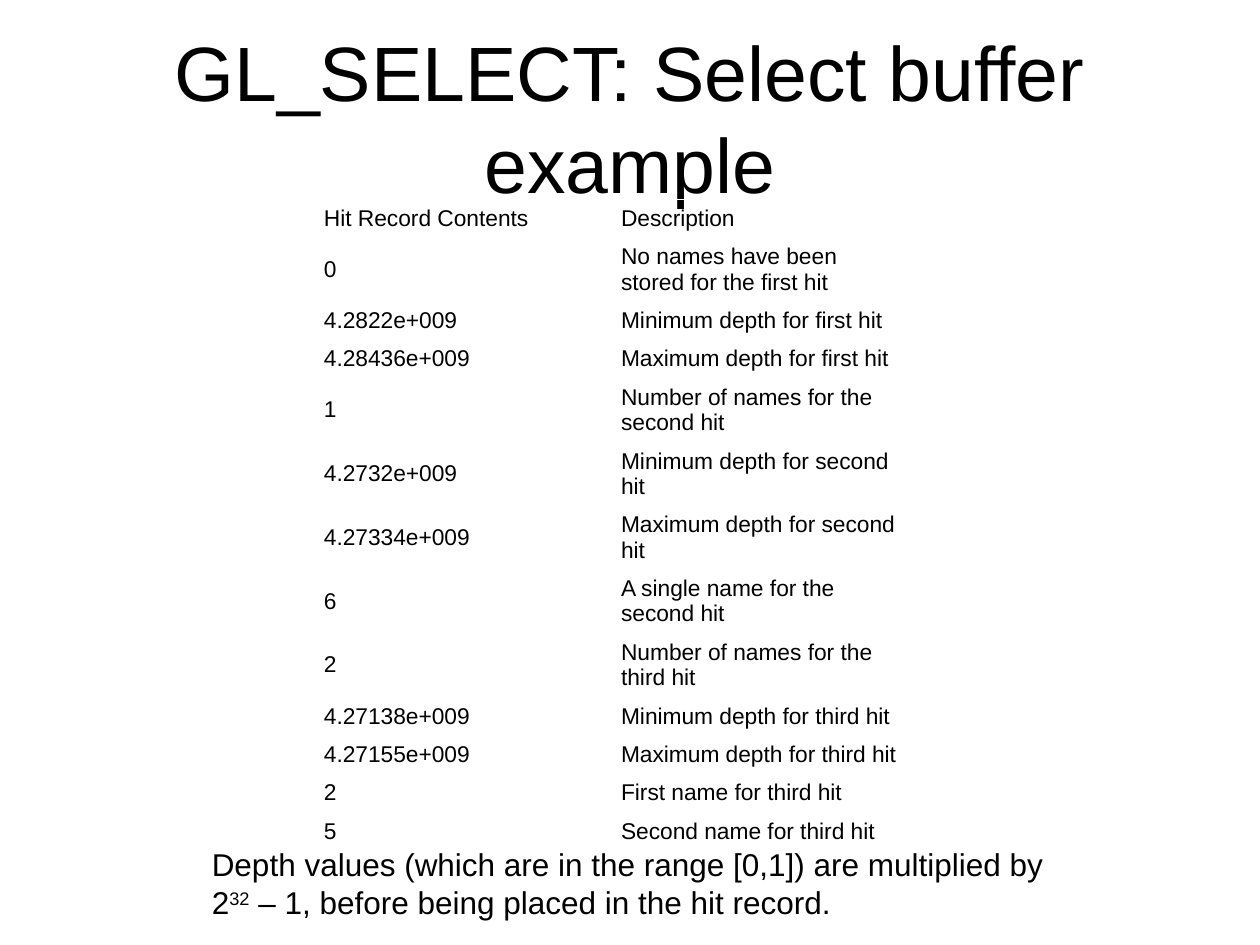
import pptx
import pptx.dml.color
import pptx.enum.text
import pptx.util

Cm = pptx.util.Cm
BLACK = pptx.dml.color.RGBColor(0x00, 0x00, 0x00)
WHITE = pptx.dml.color.RGBColor(0xFF, 0xFF, 0xFF)
ALIGN = pptx.enum.text.PP_ALIGN
ANCHOR = pptx.enum.text.MSO_ANCHOR

SINGLE_LINE, DOUBLE_LINE = 0.74, 1.28  # row heights in cm

# Contents, description, row height
HIT_RECORDS = [
    ("Hit Record Contents", "Description", SINGLE_LINE),
    ("0", "No names have been stored for the first hit", DOUBLE_LINE),
    ("4.2822e+009", "Minimum depth for first hit", SINGLE_LINE),
    ("4.28436e+009", "Maximum depth for first hit", SINGLE_LINE),
    ("1", "Number of names for the second hit", DOUBLE_LINE),
    ("4.2732e+009", "Minimum depth for second hit", DOUBLE_LINE),
    ("4.27334e+009", "Maximum depth for second hit", DOUBLE_LINE),
    ("6", "A single name for the second hit", DOUBLE_LINE),
    ("2", "Number of names for the third hit", DOUBLE_LINE),
    ("4.27138e+009", "Minimum depth for third hit", SINGLE_LINE),
    ("4.27155e+009", "Maximum depth for third hit", SINGLE_LINE),
    ("2", "First name for third hit", SINGLE_LINE),
    ("5", "Second name for third hit", SINGLE_LINE),
]


def add_text(paragraph, text, size=18, color=BLACK, align=ALIGN.LEFT, raised=0):
    """Append a formatted run; raised is the superscript offset in percent."""
    paragraph.alignment = align
    run = paragraph.add_run()
    run.text = text
    run.font.name = "Arial"
    run.font.size = pptx.util.Pt(size)
    run.font.color.rgb = color
    if raised:
        run.font._element.set("baseline", str(raised * 1000))


def place_title(slide, left, top, width, height):
    title = slide.shapes.title
    title.left, title.top, title.width, title.height = left, top, width, height
    frame = title.text_frame
    frame.word_wrap = True
    frame.auto_size = pptx.enum.text.MSO_AUTO_SIZE.NONE
    frame.vertical_anchor = ANCHOR.MIDDLE
    add_text(frame.paragraphs[0], "GL_SELECT: Select buffer example",
             size=44, align=ALIGN.CENTER)


def place_hit_table(slide, left, top, width, height):
    table = slide.shapes.add_table(len(HIT_RECORDS), 2, left, top, width, height).table
    table.first_row = False
    table.horz_banding = False
    for column in table.columns:
        column.width = int(width / 2)
    for row, (contents, description, row_height) in zip(table.rows, HIT_RECORDS):
        row.height = Cm(row_height)
        for cell, text in zip(row.cells, (contents, description)):
            cell.fill.background()
            cell.vertical_anchor = ANCHOR.MIDDLE
            cell.margin_left = cell.margin_right = Cm(0.18)
            cell.margin_top = cell.margin_bottom = Cm(0.13)
            add_text(cell.text_frame.paragraphs[0], text, size=13)


def place_depth_note(slide, left, top, width, height):
    frame = slide.shapes.add_textbox(left, top, width, height).text_frame
    frame.word_wrap = True
    note = frame.paragraphs[0]
    add_text(note, "Depth values (which are in the range [0,1]) are multiplied by 2")
    add_text(note, "32", raised=30)
    add_text(note, " – 1, before being placed in the hit record.")


def main():
    deck = pptx.Presentation()
    deck.slide_width, deck.slide_height = Cm(25.4), Cm(19.05)
    slide = deck.slides.add_slide(deck.slide_layouts.get_by_name("Title Only"))
    slide.background.fill.solid()
    slide.background.fill.fore_color.rgb = WHITE

    place_title(slide, Cm(1.27), Cm(0.76), Cm(22.86), Cm(3.18))
    table_height = Cm(sum(record[2] for record in HIT_RECORDS))
    place_hit_table(slide, Cm(6.35), Cm(4.02), Cm(11.98), table_height)
    place_depth_note(slide, Cm(4.02), Cm(16.92), Cm(17.58), Cm(2.54))

    deck.save("out.pptx")


if __name__ == "__main__":
    main()
